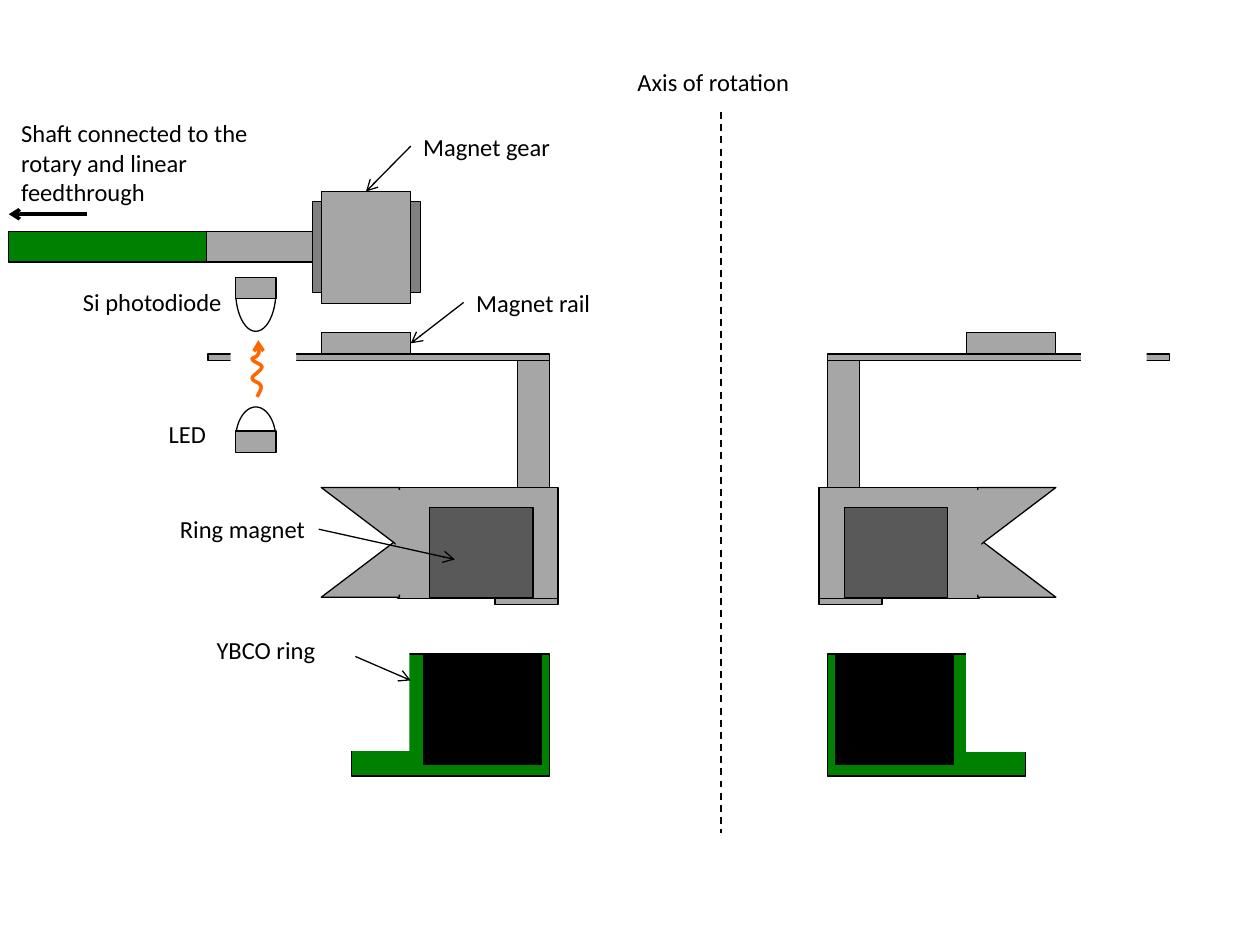
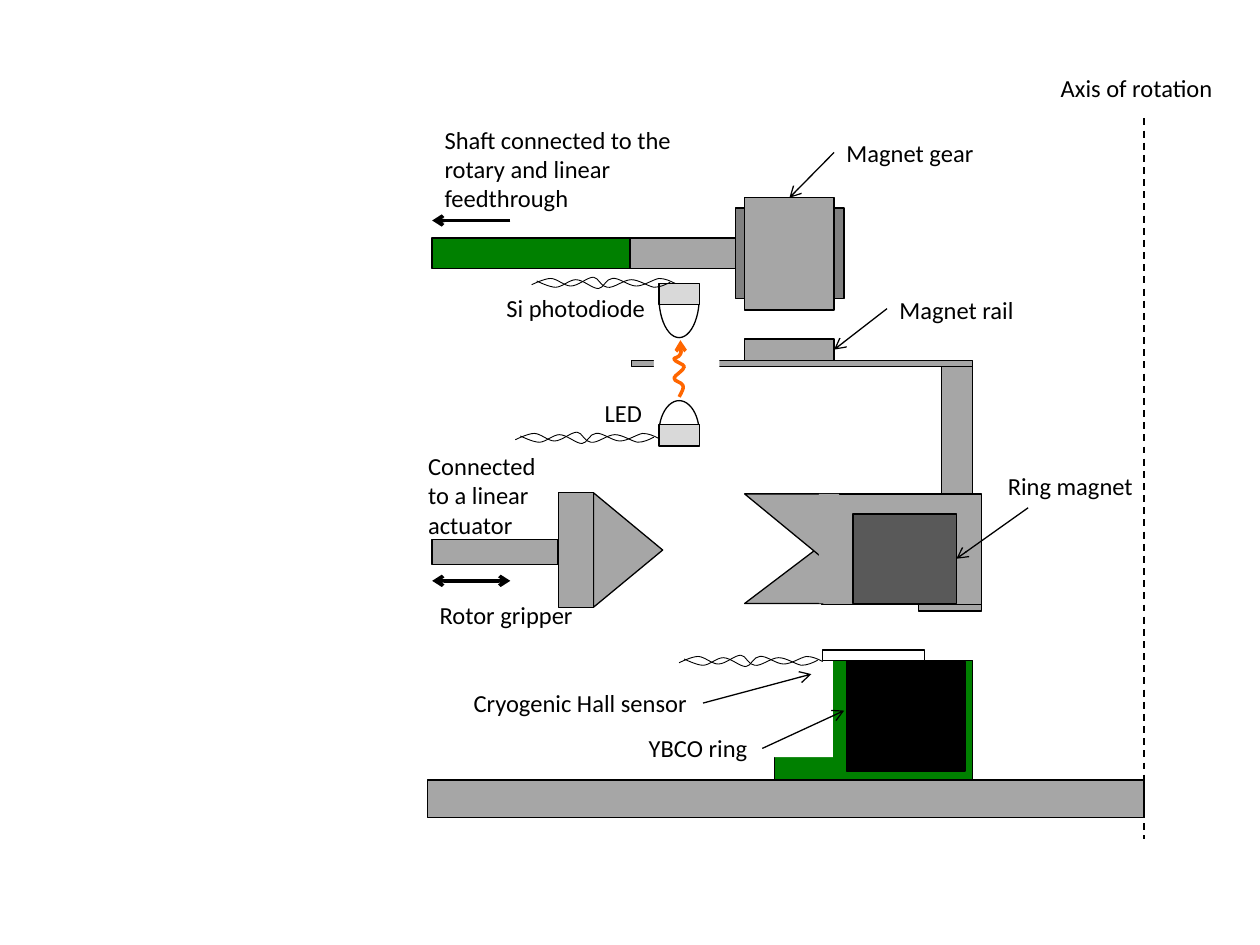
"""Draw two cross-sections of a magnetically levitated rotor assembly."""
import pptx
import pptx.dml.color
import pptx.enum.dml
import pptx.enum.shapes
import pptx.enum.text
import pptx.oxml.ns
import pptx.util
from lxml import etree

Inches = pptx.util.Inches
Pt = pptx.util.Pt
RGBColor = pptx.dml.color.RGBColor
Shapes = pptx.enum.shapes.MSO_SHAPE
qn = pptx.oxml.ns.qn

BLACK = RGBColor(0x00, 0x00, 0x00)
WHITE = RGBColor(0xFF, 0xFF, 0xFF)
METAL = RGBColor(0xA6, 0xA6, 0xA6)
HUB = RGBColor(0x80, 0x80, 0x80)
MAGNET = RGBColor(0x59, 0x59, 0x59)
PALE = RGBColor(0xD9, 0xD9, 0xD9)
GREEN = RGBColor(0x00, 0x80, 0x00)
ORANGE = RGBColor(0xFF, 0x66, 0x00)

FONT_NAME = "Calibri"
FONT_SIZE = Pt(14)
MIRROR_SUM = 10.93

LIGHT_CURVE = [
    (0, 0), (0.02, -0.04), (0.04, -0.07), (0.03, -0.09), (0.02, -0.12), (-0.04, -0.12),
    (-0.04, -0.15), (-0.04, -0.17), (0.04, -0.21), (0.04, -0.24), (0.04, -0.26),
    (-0.04, -0.28), (-0.04, -0.3), (-0.05, -0.31), (0, -0.31), (0.01, -0.34),
    (0.02, -0.36), (0.01, -0.45), (0.01, -0.45)]
WIRE_CURVE = [
    (0, 0), (-0.04, 0.02), (-0.08, 0.04), (-0.13, 0.04), (-0.18, 0.03), (-0.25, -0.02),
    (-0.31, -0.02), (-0.37, -0.02), (-0.45, 0.05), (-0.5, 0.04), (-0.55, 0.04),
    (-0.57, -0.04), (-0.61, -0.04), (-0.66, -0.04), (-0.73, 0.03), (-0.79, 0.03),
    (-0.84, 0.03), (-0.9, -0.03), (-0.95, -0.03), (-1, -0.03), (-1.1, 0.02), (-1.1, 0.02)]


class Diagram:
    """One slide with the drawing style, an offset and an optional mirror."""

    def __init__(self, presentation, offset=(0, 0)):
        self.slide = presentation.slides.add_slide(presentation.slide_layouts[6])
        self.shapes = self.slide.shapes
        self.offset = offset
        self.mirrored = False

    def place(self, x, y):
        return Inches(x + self.offset[0]), Inches(y + self.offset[1])

    def start_group(self):
        self.shapes = self.slide.shapes.add_group_shape().shapes

    def end_group(self):
        self.shapes = self.slide.shapes

    def box(self, left, top, width, height, fill, kind=Shapes.RECTANGLE, outline=BLACK, flips=""):
        if self.mirrored:
            left = MIRROR_SUM - left - width
        shape = self.shapes.add_shape(kind, *self.place(left, top), Inches(width), Inches(height))
        shape.shadow.inherit = False
        shape.fill.solid()
        shape.fill.fore_color.rgb = fill
        if outline is None:
            shape.line.fill.background()
        else:
            self.stroke(shape, outline, 0.75)
        for flip in flips:
            shape.element.spPr.find(qn("a:xfrm")).set("flip" + flip, "1")
        return shape

    def stroke(self, shape, color, width, heads=()):
        shape.line.color.rgb = color
        shape.line.width = Pt(width)
        for head in heads:
            etree.SubElement(shape.element.spPr.find(qn("a:ln")), qn("a:" + head)).set("type", "arrow")

    def line(self, start, end, width=0.75, heads=("tailEnd",), target=None, dashed=False):
        connector = self.shapes.add_connector(
            pptx.enum.shapes.MSO_CONNECTOR.STRAIGHT, *self.place(*start), *self.place(*end))
        if target:
            connector.end_connect(*target)
        connector.line.color.rgb = BLACK
        if dashed:
            connector.line.dash_style = pptx.enum.dml.MSO_LINE.DASH
        self.stroke(connector, BLACK, width, heads)
        etree.SubElement(connector.element.spPr, qn("a:effectLst"))

    def curve(self, x, y, controls, color, width, heads=()):
        points = [self.place(x + dx, y + dy) for dx, dy in controls]
        builder = self.shapes.build_freeform(*points[0], scale=1.0)
        builder.add_line_segments(points[1:], close=False)
        shape = builder.convert_to_shape()
        outline = next(shape.element.iter(qn("a:path")))
        segments = outline.findall(qn("a:lnTo"))
        for start in range(0, len(segments), 3):
            cubic = etree.SubElement(outline, qn("a:cubicBezTo"))
            for segment in segments[start:start + 3]:
                cubic.append(segment[0])
                outline.remove(segment)
        shape.shadow.inherit = False
        shape.fill.background()
        self.stroke(shape, color, width, heads)

    def label(self, text, left, top, width, height=0.34, wrap=False):
        shape = self.shapes.add_textbox(*self.place(left, top), Inches(width), Inches(height))
        frame = shape.text_frame
        frame.word_wrap = wrap
        frame.auto_size = pptx.enum.text.MSO_AUTO_SIZE.SHAPE_TO_FIT_TEXT
        paragraph = frame.paragraphs[0]
        paragraph.text = text
        paragraph.font.name = FONT_NAME
        paragraph.font.size = FONT_SIZE
        paragraph.font.color.rgb = BLACK

    def twisted_wire(self, x, y):
        self.start_group()
        self.curve(x, y, WIRE_CURVE, BLACK, 0.5)
        self.curve(x + 0.04, y + 0.01, [(dx, -dy) for dx, dy in WIRE_CURVE], BLACK, 0.5)
        self.end_group()

    def light_ray(self, x, y):
        self.curve(x, y, LIGHT_CURVE, ORANGE, 2, ["tailEnd"])

    def bulb(self, top, height, cap_top, cap_fill, flips=""):
        lens = self.box(1.87, top, 0.32, height, WHITE, Shapes.CHORD, flips=flips)
        lens.adjustments[0] = 3.103
        lens.adjustments[1] = 105.526
        self.box(1.87, cap_top, 0.32, 0.17, cap_fill)

    def jaws(self, upper_height, joint_top, joint_height):
        side = "" if self.mirrored else "H"
        self.box(2.55, 4.27, 0.62, 0.47, METAL, Shapes.RIGHT_TRIANGLE, flips=side)
        self.box(2.55, 3.87, 0.62, upper_height, METAL, Shapes.RIGHT_TRIANGLE, flips=side + "V")
        self.box(3.14, joint_top, 0.16, joint_height, METAL, outline=None)

    def rotor(self, cover, cover_outline=None):
        """Draw one half of the rotor and stator; return ring magnet and rail."""
        self.box(3.16, 3.87, 1.27, 0.88, METAL)
        self.box(2.79, 5.19, 1.57, 0.97, GREEN)
        self.box(3.36, 5.2, 0.94, 0.87, BLACK)
        self.box(*cover, WHITE, outline=cover_outline)
        self.box(3.93, 4.75, 0.5, 0.05, METAL)
        ring_magnet = self.box(3.41, 4.03, 0.82, 0.71, MAGNET)
        self.box(4.11, 2.85, 0.25, 1.02, METAL)
        self.box(1.65, 2.81, 2.71, 0.05, METAL)
        rail = self.box(2.55, 2.64, 0.71, 0.17, METAL)
        self.box(1.83, 2.76, 0.52, 0.17, WHITE, outline=None)
        return ring_magnet, rail

    def assembly(self, led_top, cap_fill, cover, jaw_sizes):
        """Draw the parts both slides share; return the ring magnet."""
        self.box(1.56, 1.84, 1.57, 0.24, METAL)
        self.box(0.07, 1.84, 1.57, 0.24, GREEN)
        self.box(2.48, 1.6, 0.86, 0.72, HUB)
        ring_magnet, rail = self.rotor(cover)
        gear = self.box(2.55, 1.52, 0.71, 0.89, METAL)
        self.bulb(1.99, 0.64, 2.2, cap_fill)
        self.start_group()
        self.bulb(led_top, 0.52, led_top + 0.19, cap_fill, "V")
        self.end_group()
        self.label("Si photodiode", 0.56, 2.23, 1.31)
        self.label("Magnet rail", 3.68, 2.24, 1.12)
        self.label("Magnet gear", 3.26, 1, 1.23)
        self.label("Axis of rotation", 4.96, 0.48, 1.42)
        self.label("Shaft connected to the rotary and linear feedthrough", 0.07, 0.89, 2.16, 0.81, True)
        self.start_group()
        self.jaws(*jaw_sizes)
        self.end_group()
        self.line((0.69, 1.7), (0.07, 1.7), 2)
        self.line((5.72, 0.89), (5.72, 6.61), 1, (), dashed=True)
        self.line((3.68, 2.4), (3.26, 2.72), target=(rail, 3))
        self.line((3.26, 1.16), (2.9, 1.52), target=(gear, 0))
        return ring_magnet


def build_full_section(presentation):
    jaw_sizes = (0.47, 3.89, 0.83)
    diagram = Diagram(presentation)
    diagram.assembly(3.23, METAL, (2.73, 5.17, 0.52, 0.79), jaw_sizes)
    diagram.mirrored = True
    diagram.rotor((2.25, 5.17, 1.01, 0.79), WHITE)
    diagram.jaws(*jaw_sizes)
    diagram.light_ray(2.04, 3.15)
    diagram.label("LED", 1.24, 3.28, 0.5)
    diagram.label("Ring magnet", 1.33, 4.03, 1.2)
    diagram.label("YBCO ring", 1.62, 4.99, 0.99)
    diagram.line((2.82, 5.21), (3.26, 5.4))
    diagram.line((2.53, 4.2), (3.61, 4.44))


def build_half_section(presentation):
    diagram = Diagram(presentation, (3.36, 0.05))
    ring_magnet = diagram.assembly(3.13, PALE, (2.73, 4.99, 0.52, 0.97), (0.51, 3.87, 0.87))
    diagram.offset = (0, 0)
    diagram.light_ray(5.39, 3.15)
    diagram.label("LED", 4.7, 3.11, 0.5)
    diagram.label("Ring magnet", 7.9, 3.69, 1.2)
    diagram.line((8.16, 4.03), (7.59, 4.44), target=(ring_magnet, 3))
    diagram.label("YBCO ring", 5.05, 5.77, 0.99)
    diagram.line((6.05, 5.94), (6.7, 5.64))

    gripper_tip = diagram.box(4.53, 4.09, 0.91, 0.55, METAL, Shapes.ISOSCELES_TRIANGLE, flips="H")
    gripper_tip.rotation = 90
    diagram.box(4.43, 3.91, 0.28, 0.91, METAL)
    diagram.box(3.43, 4.28, 1, 0.2, METAL)
    diagram.label("Rotor gripper", 3.39, 4.71, 1.31)
    diagram.label("Connected to a linear actuator", 3.3, 3.53, 1.13, 0.81, True)
    diagram.line((4.05, 4.61), (3.43, 4.61), 2, ("headEnd", "tailEnd"))

    diagram.box(3.39, 6.19, 5.69, 0.3, METAL)
    diagram.box(6.53, 5.16, 0.81, 0.08, WHITE)
    for wire_end in ((5.32, 2.24), (5.19, 3.47), (6.49, 5.24)):
        diagram.twisted_wire(*wire_end)
    diagram.label("Cryogenic Hall sensor", 3.66, 5.41, 1.91)
    diagram.line((5.58, 5.58), (6.44, 5.35))


def main():
    presentation = pptx.Presentation()
    presentation.slide_width = Inches(10)
    presentation.slide_height = Inches(7.5)
    build_full_section(presentation)
    build_half_section(presentation)
    presentation.save("out.pptx")


if __name__ == "__main__":
    main()
